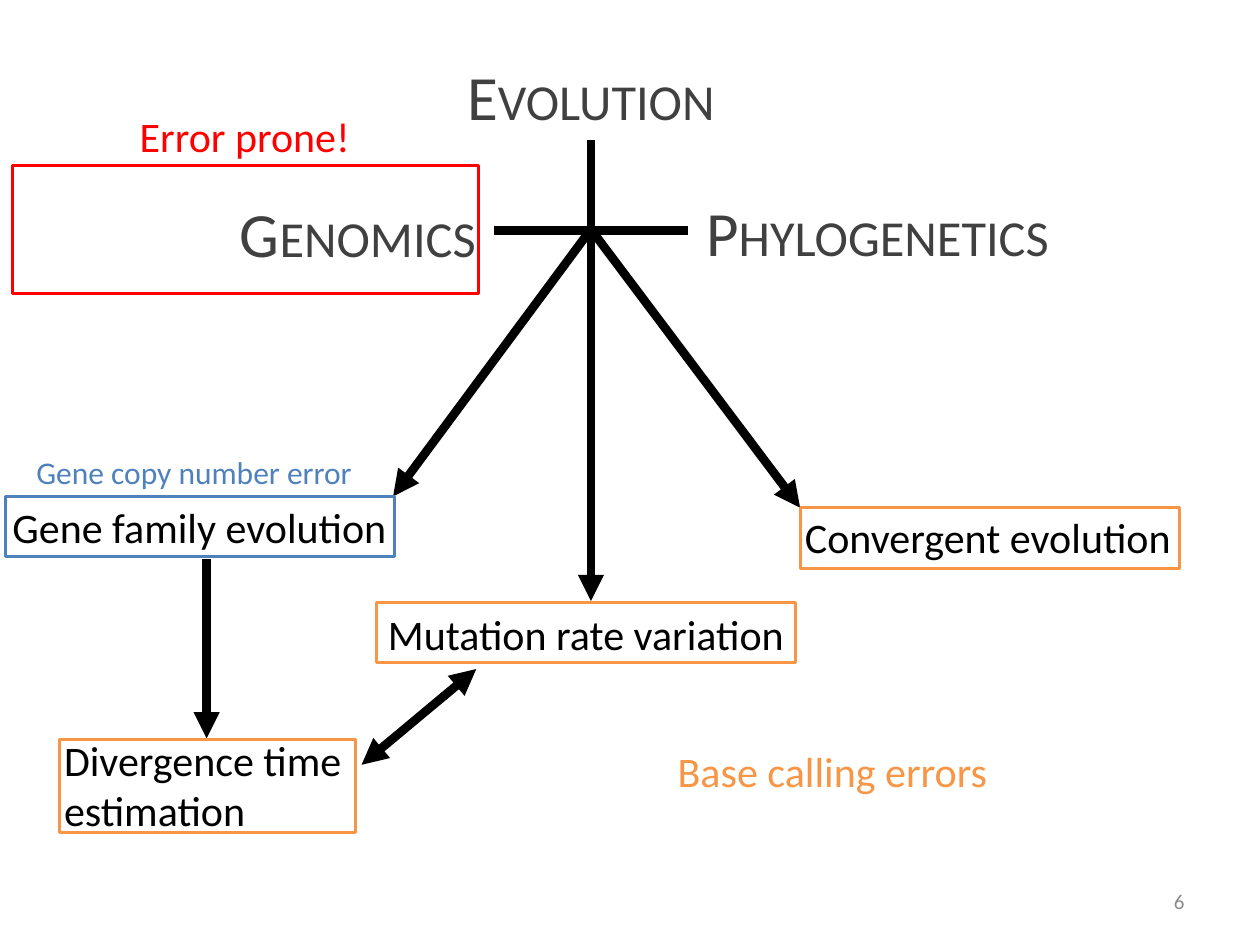
from dataclasses import dataclass

from lxml import etree
from pptx import Presentation
from pptx import util as u
from pptx.dml.color import RGBColor
from pptx.enum import shapes, text
from pptx.oxml.ns import qn

COLUMNS, ROWS = 100, 75
SLIDE_WIDTH, SLIDE_HEIGHT = u.Inches(10), u.Inches(7.5)
FONT = "Calibri"
COLORS = {
    "black": "000000",
    "heading": "404040",
    "number": "8C8C8C",
    "red": "FF0000",
    "blue": "4F81BD",
    "orange": "F79646",
}
HUB_X, HUB_Y = 46.9, 18.3
LEFT, CENTER, RIGHT = text.PP_ALIGN.LEFT, text.PP_ALIGN.CENTER, text.PP_ALIGN.RIGHT


@dataclass
class Label:
    words: str
    left: float
    top: float
    width: float
    height: float = 5
    size: int = 24
    color: str = "black"
    align: text.PP_ALIGN = LEFT
    middle: bool = False
    small_caps: bool = False


@dataclass
class Frame:
    left: float
    top: float
    width: float
    height: float
    color: str


@dataclass
class Link:
    start: tuple[float, float]
    end: tuple[float, float]
    start_arrow: bool = False
    end_arrow: bool = True


def heading(words: str, left: float, top: float, width: float) -> Label:
    return Label(words, left, top, width, 7.1, 36, "heading", CENTER, True, True)


LABELS = [
    heading("Evolution", 35.3, 4, 23.2),
    heading("Genomics", 16.8, 14.9, 23.2),
    heading("Phylogenetics", 54.6, 14.8, 30.1),
    Label("Gene family evolution", 0, 39.3, 32.8),
    Label("Mutation rate variation", 29.8, 47.8, 34.2),
    Label("Convergent evolution", 62.9, 40.1, 31.5),
    Label("Divergence time estimation", 4.1, 57.8, 33.8, 9.1),
    Label("Error prone!", 10.1, 8.3, 18.8, color="red"),
    Label("Gene copy number error", 1.9, 35.5, 27.9, 4, 18, "blue"),
    Label("Base calling errors", 52.8, 58.7, 28.1, color="orange"),
    Label("6", 71.7, 69.5, 23.3, 4, 12, "number", RIGHT, True),
]
FRAMES = [
    Frame(1, 13.1, 37, 10.2, "red"),
    Frame(0.4, 39.4, 30.9, 4.8, "blue"),
    Frame(63.5, 40.3, 30.1, 4.8, "orange"),
    Frame(29.9, 47.8, 33.2, 4.8, "orange"),
    Frame(4.7, 58.7, 23.5, 7.4, "orange"),
]
LINKS = [
    Link((HUB_X, 11.1), (HUB_X, HUB_Y), end_arrow=False),
    Link((HUB_X, HUB_Y), (54.6, HUB_Y), end_arrow=False),
    Link((39.2, HUB_Y), (HUB_X, HUB_Y), end_arrow=False),
    Link((HUB_X, 18.5), (HUB_X, 47.7)),
    Link((46.6, 18.6), (31.2, 39.4)),
    Link((47.2, 18.6), (63.5, 40.3)),
    Link((16.4, 44.4), (16.4, 58.6)),
    Link((37.8, 53.1), (28.7, 60.7), start_arrow=True),
]


def across(columns: float) -> int:
    return round(SLIDE_WIDTH * columns / COLUMNS)


def down(rows: float) -> int:
    return round(SLIDE_HEIGHT * rows / ROWS)


def bounds(item: Label | Frame) -> tuple[int, int, int, int]:
    return across(item.left), down(item.top), across(item.width), down(item.height)


def rgb(name: str) -> RGBColor:
    return RGBColor.from_string(COLORS[name])


def draw_label(page, label: Label) -> None:
    frame = page.shapes.add_textbox(*bounds(label)).text_frame
    frame.word_wrap = True
    frame.vertical_anchor = text.MSO_ANCHOR.MIDDLE if label.middle else text.MSO_ANCHOR.TOP
    para = frame.paragraphs[0]
    para.alignment = label.align
    para.font.name = FONT
    para.font.size = u.Pt(label.size)
    para.font.color.rgb = rgb(label.color)
    span = para.add_run()
    span.text = label.words
    if label.small_caps:
        span._r.get_or_add_rPr().set("cap", "small")


def draw_frame(page, frame: Frame) -> None:
    box = page.shapes.add_shape(shapes.MSO_SHAPE.RECTANGLE, *bounds(frame))
    box.shadow.inherit = False
    box.fill.background()
    box.line.color.rgb = rgb(frame.color)
    box.line.width = u.Pt(1.75)


def draw_link(page, link: Link) -> None:
    (x1, y1), (x2, y2) = link.start, link.end
    connector = page.shapes.add_connector(
        shapes.MSO_CONNECTOR.STRAIGHT, across(x1), down(y1), across(x2), down(y2)
    )
    connector.line.color.rgb = rgb("black")
    connector.line.width = u.Pt(5)
    properties = connector._element.spPr
    line = properties.find(qn("a:ln"))
    for tag, wanted in (("a:headEnd", link.start_arrow), ("a:tailEnd", link.end_arrow)):
        if wanted:
            etree.SubElement(line, qn(tag), type="triangle")
    etree.SubElement(properties, qn("a:effectLst"))


def main() -> None:
    deck = Presentation()
    deck.slide_width, deck.slide_height = SLIDE_WIDTH, SLIDE_HEIGHT
    page = deck.slides.add_slide(deck.slide_layouts[6])
    for link in LINKS:
        draw_link(page, link)
    for frame in FRAMES:
        draw_frame(page, frame)
    for label in LABELS:
        draw_label(page, label)
    deck.save("out.pptx")


if __name__ == "__main__":
    main()
